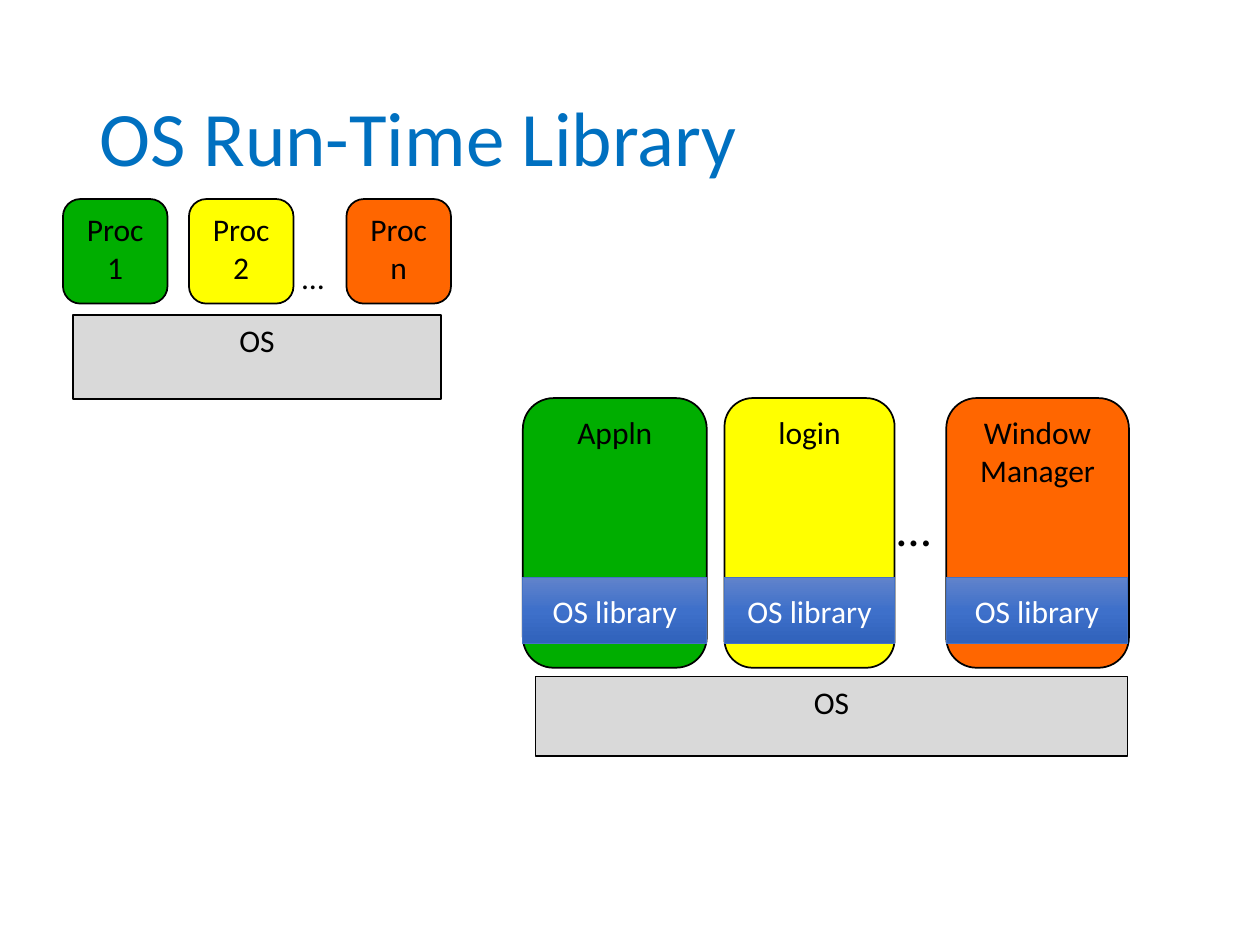
from copy import deepcopy

from pptx import Presentation
from pptx.dml.color import RGBColor
from pptx.enum.shapes import MSO_SHAPE
from pptx.enum.text import MSO_ANCHOR, MSO_AUTO_SIZE, PP_ALIGN
from pptx.oxml.ns import qn
from pptx.util import Inches, Pt

TITLE = "OS Run-Time Library"
GREEN, YELLOW, ORANGE, GREY = "00AE00", "FFFF00", "FF6600", "D9D9D9"
PROCESSES = [("Proc 1", 0.5, GREEN), ("Proc 2", 1.5, YELLOW), ("Proc n", 2.75, ORANGE)]
PROGRAMS = [
    ("Appln", 4.15, 1.46, 1.46, GREEN),
    ("login", 5.75, 1.35, 1.35, YELLOW),
    ("Window Manager", 7.51, 1.45, 1.44, ORANGE),
]
SYSTEMS = [(0.58, 2.5, 2.92, 0.67), (4.25, 5.37, 4.7, 0.63)]
DOTS = [((2.3, 2, 0.45, 0.4), 18, False), ((7.02, 3.9, 0.65, 0.57), 28, True)]
LIBRARY_STOPS = [(0, "6183CB"), (0.5, "3E70CA"), (1, "3062BB")]


def rgb(value):
    return RGBColor.from_string(value)


def write(tf, text, size=18, color="000000", align=PP_ALIGN.CENTER, anchor=MSO_ANCHOR.TOP):
    tf.vertical_anchor = anchor
    p = tf.paragraphs[0]
    p.alignment = align
    r = p.add_run()
    r.text = text
    r.font.name = "Calibri"
    r.font.size = Pt(size)
    r.font.color.rgb = rgb(color)
    return p


def add_box(kind, place, line="000000", width=1):
    sp = slide.shapes.add_shape(kind, *map(Inches, place))
    sp.shadow.inherit = False
    sp.line.color.rgb = rgb(line)
    sp.line.width = Pt(width)
    sp.text_frame.word_wrap = True
    return sp


def add_block(kind, place, text, color):
    sp = add_box(kind, place)
    sp.fill.solid()
    sp.fill.fore_color.rgb = rgb(color)
    write(sp.text_frame, text)


def add_library(place):
    sp = add_box(MSO_SHAPE.RECTANGLE, place, "4472C4", 0.5)
    sp.fill.gradient()
    sp.fill.gradient_angle = 270
    first = next(sp._element.spPr.iter(qn("a:gs")))
    first.addnext(deepcopy(first))
    for stop, (position, color) in zip(sp.fill.gradient_stops, LIBRARY_STOPS):
        stop.position = position
        stop.color.rgb = rgb(color)
    write(sp.text_frame, "OS library", color="FFFFFF", anchor=MSO_ANCHOR.MIDDLE)


prs = Presentation()
prs.slide_width, prs.slide_height = Inches(10), Inches(7.5)
slide = prs.slides.add_slide(prs.slide_layouts[5])

title = slide.shapes.title
title.left, title.top, title.width, title.height = map(Inches, (0.69, 0.4, 8.62, 1.45))
p = write(title.text_frame, TITLE, 44, "0070C0", PP_ALIGN.LEFT, MSO_ANCHOR.MIDDLE)
p.line_spacing = 0.9

for place in SYSTEMS:
    add_block(MSO_SHAPE.RECTANGLE, place, "OS", GREY)
for text, left, color in PROCESSES:
    add_block(MSO_SHAPE.ROUNDED_RECTANGLE, (left, 1.58, 0.83, 0.83), text, color)
for text, left, width, library_width, color in PROGRAMS:
    add_block(MSO_SHAPE.ROUNDED_RECTANGLE, (left, 3.16, width, 2.14), text, color)
    add_library((left, 4.58, library_width, 0.53))

for place, size, wrap in DOTS:
    tf = slide.shapes.add_textbox(*map(Inches, place)).text_frame
    tf.word_wrap = wrap
    tf.auto_size = MSO_AUTO_SIZE.SHAPE_TO_FIT_TEXT
    write(tf, "…", size, align=PP_ALIGN.LEFT)

prs.save("out.pptx")
